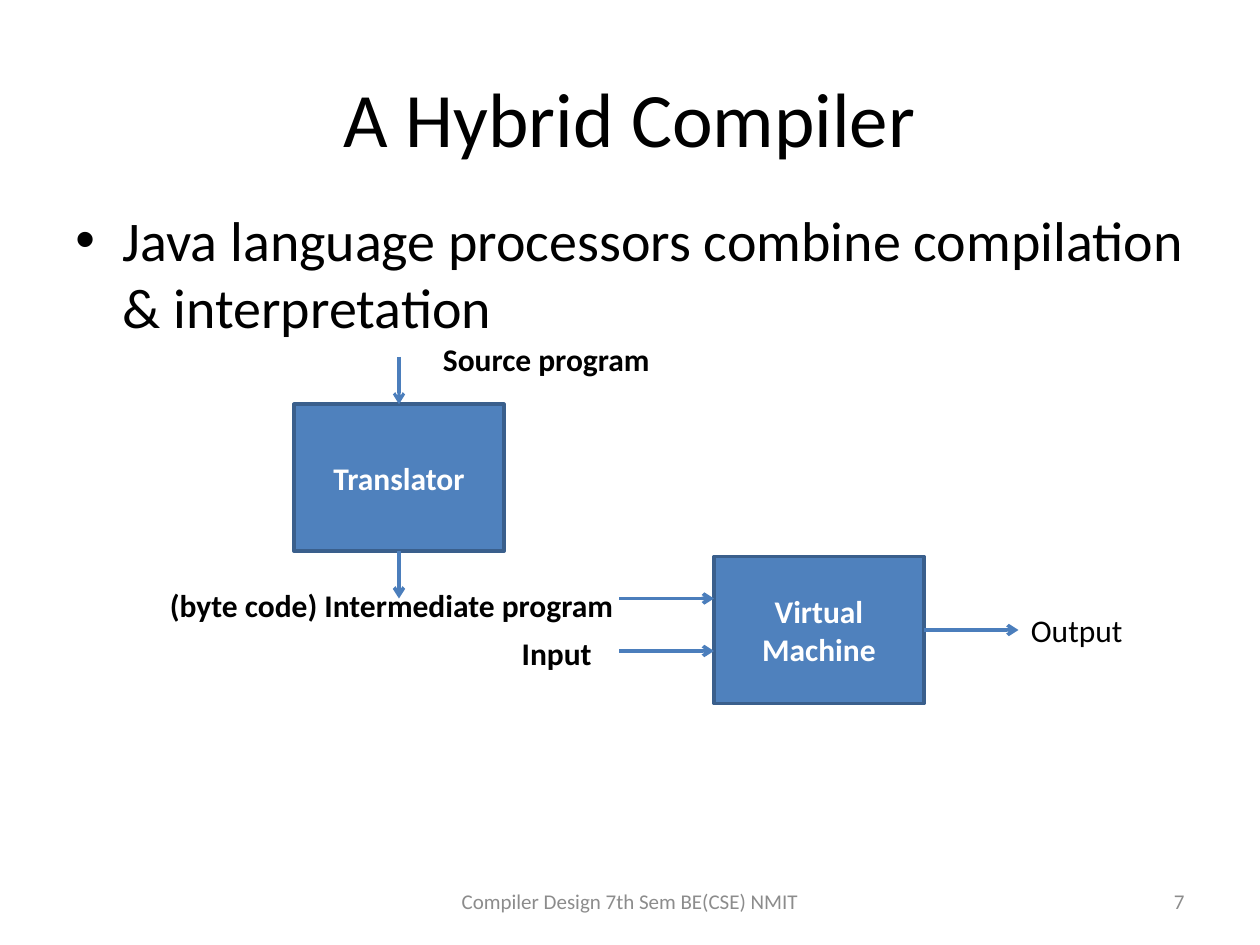
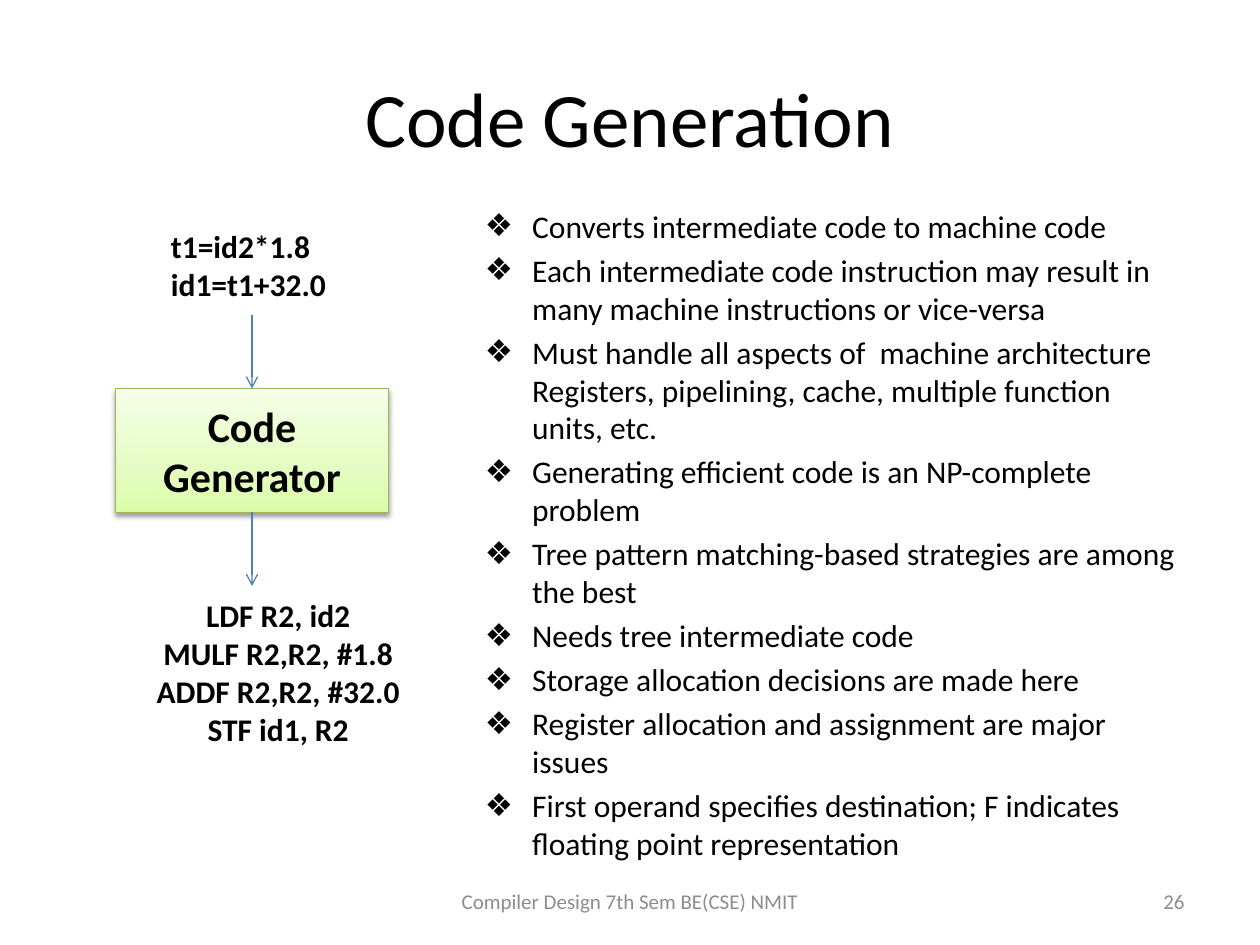
"""Build two compiler lecture slides."""
import copy
import dataclasses
import typing

import lxml.etree
import pptx
import pptx.dml.color
import pptx.enum.shapes
import pptx.enum.text
import pptx.oxml.ns
import pptx.util

SCALE = 7620
ALIGN = pptx.enum.text.PP_ALIGN
ANCHOR = pptx.enum.text.MSO_ANCHOR
qn = pptx.oxml.ns.qn


@dataclasses.dataclass(frozen=True)
class Theme:
    """Fonts, type sizes and colours shared by the slides."""
    font: str = "Calibri"
    title_size: int = 44
    lead_size: int = 32
    box_size: int = 24
    text_size: int = 18
    footer_size: int = 12
    ink: str = "000000"
    paper: str = "FFFFFF"
    muted: str = "8C8C8C"
    blue: str = "4F81BD"
    blue_edge: str = "3A5F8C"
    arrow: str = "4B7EBC"
    green_edge: str = "98B955"
    green_stops: tuple = ((0, "DAFDA7"), (0.35, "E4FCC2"), (1, "F5FFE7"))


THEME = Theme()


class Area(typing.NamedTuple):
    """Left, top, width and height in px."""
    left: int
    top: int
    width: int
    height: int


@dataclasses.dataclass(frozen=True)
class Style:
    """Look of a block of text."""
    size: int = THEME.text_size
    color: str = THEME.ink
    bold: bool = False
    align: ALIGN = ALIGN.LEFT
    anchor: ANCHOR = ANCHOR.TOP
    bullet: str = ""


class Label(typing.NamedTuple):
    """A text box with its lines and style."""
    area: Area
    lines: tuple
    style: Style


class Arrow(typing.NamedTuple):
    """A straight arrow with its ends in px and its width in points."""
    x1: int
    y1: int
    x2: int
    y2: int
    width: float


TITLE = Style(size=THEME.title_size, align=ALIGN.CENTER, anchor=ANCHOR.MIDDLE)
BOLD = Style(bold=True)
BOLD_CENTERED = Style(bold=True, align=ALIGN.CENTER)
BLUE_BOX = Style(color=THEME.paper, bold=True, align=ALIGN.CENTER, anchor=ANCHOR.MIDDLE)
GREEN_BOX = Style(size=THEME.box_size, bold=True, align=ALIGN.CENTER, anchor=ANCHOR.MIDDLE)
FOOTER = Style(size=THEME.footer_size, color=THEME.muted, align=ALIGN.CENTER, anchor=ANCHOR.MIDDLE)
NUMBER = dataclasses.replace(FOOTER, align=ALIGN.RIGHT)
LEAD = Style(size=THEME.lead_size, bullet="•")
POINTS = Style(bullet="❖")


def px(length: int) -> pptx.util.Emu:
    """Turn px into EMU."""
    return pptx.util.Emu(length * SCALE)


def rgb(color: str) -> pptx.dml.color.RGBColor:
    """Turn a hex string into a colour."""
    return pptx.dml.color.RGBColor.from_string(color)


def add_element(parent, tag: str, **attributes: str):
    """Append a DrawingML child element."""
    return lxml.etree.SubElement(parent, qn(tag), attributes)


def add_bullet(paragraph, style: Style) -> None:
    """Give a paragraph a hanging bullet and space above."""
    properties = paragraph._p.get_or_add_pPr()
    properties.set("marL", str(px(45)))
    properties.set("indent", str(px(-45)))
    paragraph.space_before = pptx.util.Pt(style.size * 0.2)
    add_element(properties, "a:buFont", typeface="Arial")
    add_element(properties, "a:buChar", char=style.bullet)


def write(shape, lines: tuple, style: Style) -> None:
    """Fill a shape with one paragraph per line."""
    frame = shape.text_frame
    frame.word_wrap = True
    frame.vertical_anchor = style.anchor
    frame.text = "\n".join(lines)
    for paragraph in frame.paragraphs:
        paragraph.alignment = style.align
        font = paragraph.font
        font.name = THEME.font
        font.size = pptx.util.Pt(style.size)
        font.bold = style.bold
        font.color.rgb = rgb(style.color)
        if style.bullet:
            add_bullet(paragraph, style)


def add_label(slide, label: Label) -> None:
    """Draw a text box."""
    shape = slide.shapes.add_textbox(*map(px, label.area))
    write(shape, label.lines, label.style)


def add_box(slide, label: Label, edge: str, width: float):
    """Draw an outlined rectangle with text."""
    kind = pptx.enum.shapes.MSO_SHAPE.RECTANGLE
    shape = slide.shapes.add_shape(kind, *map(px, label.area))
    shape.shadow.inherit = False
    shape.line.color.rgb = rgb(edge)
    shape.line.width = pptx.util.Pt(width)
    write(shape, label.lines, label.style)
    return shape


def add_blue_box(slide, label: Label) -> None:
    """Draw a solid blue box."""
    shape = add_box(slide, label, THEME.blue_edge, 2)
    shape.fill.solid()
    shape.fill.fore_color.rgb = rgb(THEME.blue)


def add_green_box(slide, label: Label) -> None:
    """Draw a green gradient box with a soft shadow."""
    shape = add_box(slide, label, THEME.green_edge, 0.75)
    fill = shape.fill
    fill.gradient()
    fill.gradient_angle = 90
    properties = shape._element.spPr
    stop_list = properties.find(".//" + qn("a:gsLst"))
    stop_list.append(copy.deepcopy(stop_list[-1]))
    for stop, (position, color) in zip(fill.gradient_stops, THEME.green_stops):
        stop.position = position
        stop.color.rgb = rgb(color)
    shadow = add_element(
        properties.find(qn("a:effectLst")), "a:outerShdw", blurRad=str(pptx.util.Pt(3.1)),
        dist=str(pptx.util.Pt(1.6)), dir="5400000", rotWithShape="0")
    color = add_element(shadow, "a:srgbClr", val=THEME.ink)
    add_element(color, "a:alpha", val="38000")


def add_arrow(slide, arrow: Arrow) -> None:
    """Draw a straight arrow."""
    kind = pptx.enum.shapes.MSO_CONNECTOR.STRAIGHT
    connector = slide.shapes.add_connector(kind, *map(px, arrow[:4]))
    connector.line.color.rgb = rgb(THEME.arrow)
    connector.line.width = pptx.util.Pt(arrow.width)
    properties = connector._element.spPr
    add_element(properties.find(qn("a:ln")), "a:tailEnd", type="arrow")
    add_element(properties, "a:effectLst")


def add_slide(presentation, title: str, number: int):
    """Add a slide with its title, footer and number."""
    slide = presentation.slides.add_slide(presentation.slide_layouts[5])
    shape = slide.shapes.title
    shape.left, shape.top, shape.width, shape.height = map(px, Area(60, 36, 1080, 150))
    write(shape, (title,), TITLE)
    add_label(slide, Label(Area(410, 834, 380, 48), ("Compiler Design 7th Sem BE(CSE) NMIT",), FOOTER))
    add_label(slide, Label(Area(860, 834, 280, 48), (str(number),), NUMBER))
    return slide


def build_hybrid_compiler(presentation) -> None:
    """Build the hybrid compiler diagram."""
    slide = add_slide(presentation, "A Hybrid Compiler", 7)
    lead = ("Java language processors combine compilation & interpretation",)
    add_label(slide, Label(Area(60, 190, 1080, 614), lead, LEAD))
    for box in (
        Label(Area(280, 385, 200, 140), ("Translator",), BLUE_BOX),
        Label(Area(680, 530, 200, 140), ("Virtual", "Machine"), BLUE_BOX),
    ):
        add_blue_box(slide, box)
    for arrow in (
        Arrow(380, 340, 380, 385, 1.75),
        Arrow(380, 525, 380, 570, 2),
        Arrow(590, 570, 680, 570, 2),
        Arrow(590, 620, 680, 620, 2),
        Arrow(880, 600, 970, 600, 2),
    ):
        add_arrow(slide, arrow)
    for label in (
        Label(Area(410, 318, 270, 48), ("Source program",), BOLD),
        Label(Area(150, 552, 480, 48), ("(byte code) Intermediate program",), BOLD),
        Label(Area(485, 598, 160, 48), ("Input",), BOLD),
        Label(Area(970, 576, 160, 48), ("Output",), Style()),
    ):
        add_label(slide, label)


def build_code_generation(presentation) -> None:
    """Build the code generation slide."""
    slide = add_slide(presentation, "Code Generation", 26)
    points = (
        "Converts intermediate code to machine code",
        "Each intermediate code instruction may result in many machine instructions or vice-versa",
        "Must handle all aspects of  machine architecture Registers, pipelining, cache, "
        "multiple function units, etc.",
        "Generating efficient code is an NP-complete problem",
        "Tree pattern matching-based strategies are among the best",
        "Needs tree intermediate code",
        "Storage allocation decisions are made here",
        "Register allocation and assignment are major issues",
        "First operand specifies destination; F indicates floating point representation",
    )
    machine_code = ("LDF R2, id2", "MULF R2,R2, #1.8", "ADDF R2,R2, #32.0", "STF id1, R2")
    for label in (
        Label(Area(450, 191, 690, 594), points, POINTS),
        Label(Area(151, 210, 210, 85), ("t1=id2*1.8", "id1=t1+32.0"), BOLD),
        Label(Area(110, 562, 310, 157), machine_code, BOLD_CENTERED),
    ):
        add_label(slide, label)
    add_green_box(slide, Label(Area(110, 370, 260, 118), ("Code Generator",), GREEN_BOX))
    for top in (300, 488):
        add_arrow(slide, Arrow(240, top, 240, top + 70, 0.75))


def main() -> None:
    """Build and save the presentation."""
    presentation = pptx.Presentation()
    presentation.slide_width, presentation.slide_height = px(1200), px(900)
    build_hybrid_compiler(presentation)
    build_code_generation(presentation)
    presentation.save("out.pptx")


if __name__ == "__main__":
    main()
